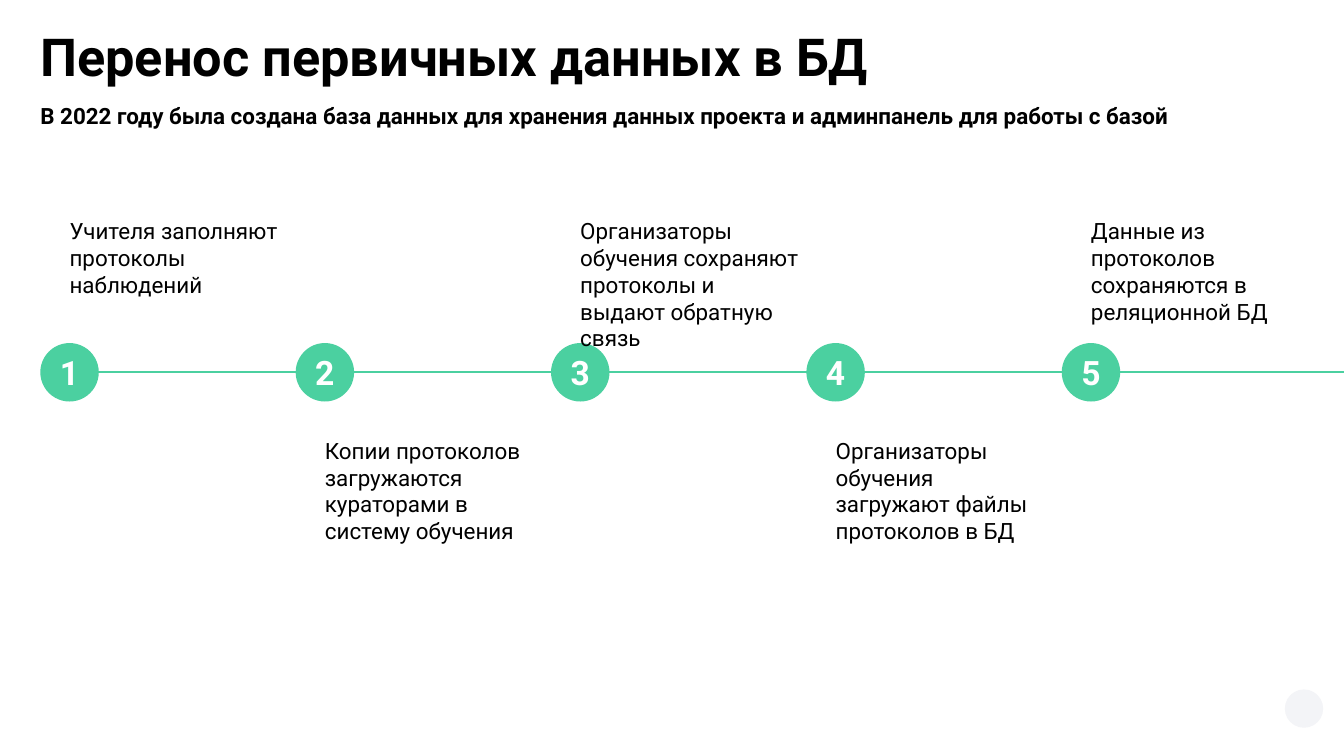
from lxml.etree import SubElement
from pptx import Presentation
from pptx.dml.color import RGBColor
from pptx.enum.shapes import MSO_CONNECTOR as Connector, MSO_SHAPE as Shape
from pptx.enum.text import MSO_ANCHOR as Anchor, PP_ALIGN as Align
from pptx.oxml.ns import qn
from pptx.util import Inches, Pt

BLACK = RGBColor(0x00, 0x00, 0x00)
WHITE = RGBColor(0xFF, 0xFF, 0xFF)
GREEN = RGBColor(0x4B, 0xD0, 0xA0)
PALE = RGBColor(0xF3, 0xF4, 0xF7)

TITLE = "Перенос первичных данных в БД"
SUBTITLE = "В 2022 году была создана база данных для хранения данных проекта и админпанель для работы с базой"
STEPS = [
    ("Учителя заполняют протоколы наблюдений", 3.15),
    ("Копии протоколов загружаются кураторами в систему обучения", 3.13),
    ("Организаторы обучения сохраняют протоколы и выдают обратную связь", 3.34),
    ("Организаторы обучения загружают файлы протоколов в БД", 3.13),
    ("Данные из протоколов сохраняются в реляционной БД", 3.16),
]

WIDTH, HEIGHT = 20, 11.25
MARGIN = 0.03 * WIDTH
COLUMN = 0.19 * WIDTH
DIAMETER = 0.87
AXIS = 5.54
ABOVE, BELOW = 3.23, 6.5
TEXT_HEIGHT = 1.63

HEADING = {"size": Pt(56), "bold": True, "color": BLACK}
LEAD = {"size": Pt(24), "bold": True, "color": BLACK}
BODY = {"size": Pt(24), "bold": False, "color": BLACK}
NUMBER = {"size": Pt(36), "bold": True, "color": WHITE}


def write(para, text, style):
    span = para.add_run()
    span.text = text
    span.font.name = "Roboto"
    for name, value in style.items():
        if name == "color":
            span.font.color.rgb = value
        else:
            setattr(span.font, name, value)


def prepare_frame(box):
    frame = box.text_frame
    frame.word_wrap = True
    for side in ("left", "top", "right", "bottom"):
        setattr(frame, f"margin_{side}", 0)
    return frame


def add_text_box(page, left, top, width, height):
    box = page.shapes.add_textbox(*map(Inches, (left, top, width, height)))
    return prepare_frame(box)


def add_circle(page, left, top, diameter, color):
    circle = page.shapes.add_shape(
        Shape.OVAL, *map(Inches, (left, top, diameter, diameter)))
    circle.shadow.inherit = False
    circle.fill.solid()
    circle.fill.fore_color.rgb = color
    circle.line.fill.background()
    return circle


def add_heading(page):
    frame = add_text_box(page, MARGIN, 0.54, 17.19, TEXT_HEIGHT)
    write(frame.paragraphs[0], TITLE, HEADING)
    write(frame.add_paragraph(), SUBTITLE, LEAD)
    for para in frame.paragraphs:
        para.line_spacing = 0.8
    frame.paragraphs[1].space_before = Pt(22)


def add_axis(page):
    axis = page.shapes.add_connector(
        Connector.STRAIGHT,
        *map(Inches, (MARGIN + DIAMETER / 2, AXIS, WIDTH, AXIS)))
    axis.line.color.rgb = GREEN
    axis.line.width = Pt(2.25)
    SubElement(axis.element.spPr, qn("a:effectLst"))


def add_step(page, index, text, width):
    left = MARGIN + index * COLUMN
    circle = add_circle(page, left, AXIS - DIAMETER / 2, DIAMETER, GREEN)
    frame = prepare_frame(circle)
    frame.vertical_anchor = Anchor.MIDDLE
    frame.paragraphs[0].alignment = Align.CENTER
    write(frame.paragraphs[0], str(index + 1), NUMBER)
    top = BELOW if index % 2 else ABOVE
    label = add_text_box(page, left + DIAMETER / 2, top, width, TEXT_HEIGHT)
    write(label.paragraphs[0], text, BODY)


def main():
    deck = Presentation()
    deck.slide_width, deck.slide_height = Inches(WIDTH), Inches(HEIGHT)
    page = deck.slides.add_slide(deck.slide_layouts[6])
    add_circle(page, 19.12, 10.26, 0.57, PALE)
    add_axis(page)
    for index, (text, width) in enumerate(STEPS):
        add_step(page, index, text, width)
    add_heading(page)
    deck.save("out.pptx")


if __name__ == "__main__":
    main()
